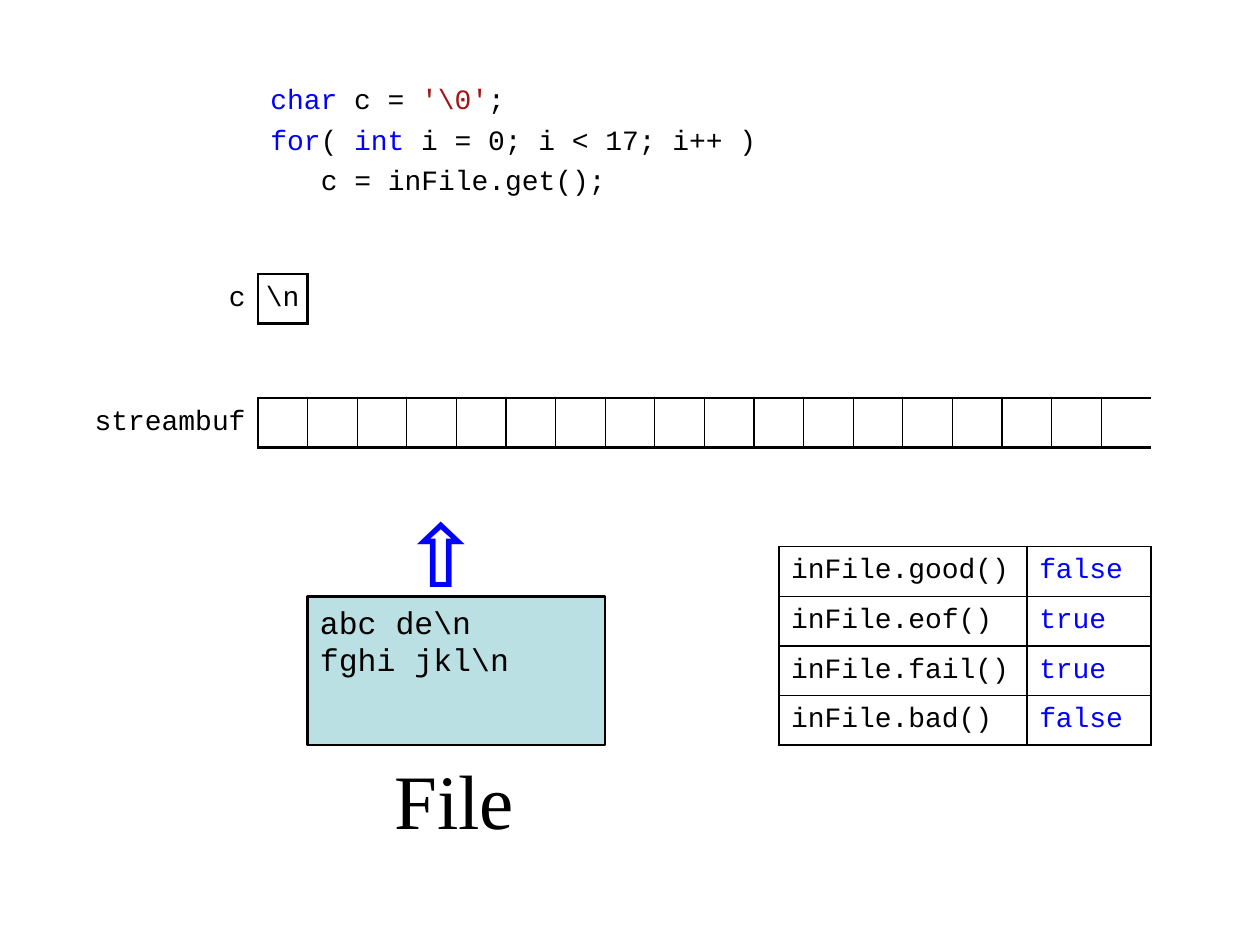
from dataclasses import dataclass

from lxml import etree
from pptx import Presentation
from pptx.dml.color import RGBColor
from pptx.enum.shapes import MSO_SHAPE
from pptx.enum.text import MSO_ANCHOR, PP_ALIGN
from pptx.oxml.ns import qn
from pptx.util import Cm, Pt

RECTANGLE = MSO_SHAPE.RECTANGLE
TOP, MIDDLE = MSO_ANCHOR.TOP, MSO_ANCHOR.MIDDLE
LEFT, CENTER, RIGHT = PP_ALIGN.LEFT, PP_ALIGN.CENTER, PP_ALIGN.RIGHT
PLAIN_TABLE_STYLE = "{2D5ABB26-0587-4C30-8999-92F81FD0307C}"
MARGINS = ("margin_left", "margin_top", "margin_right", "margin_bottom")
FRAME_INSETS = (0.25, 0.13, 0.25, 0.13)
NO_INSETS = (0, 0, 0, 0)


@dataclass(frozen=True)
class Theme:
    code_font: str = "Courier New"
    caption_font: str = "Times New Roman"
    ink: str = "000000"
    keyword: str = "0000FF"
    literal: str = "A31515"
    file_fill: str = "BBE0E3"
    code_size: int = 16
    file_size: int = 18
    caption_size: int = 44
    arrow_size: int = 66
    thin: float = 0.75
    medium: float = 1
    thick: float = 1.5


def assign(target, values):
    for name, value in values.items():
        setattr(target, name, value)


class SlideBuilder:
    def __init__(self, slide, theme):
        self.slide = slide
        self.theme = theme

    def add_lines(self, frame, lines, size=None, font=None, bold=False,
                  align=LEFT, space_before=0, indents=()):
        """Each line is a list of (text, colour); indents maps line number to cm."""
        for number, line in enumerate(lines):
            paragraph = frame.paragraphs[0] if number == 0 else frame.add_paragraph()
            assign(paragraph, {"alignment": align, "space_before": Pt(space_before)})
            if number in indents:
                paragraph._p.get_or_add_pPr().set("marL", str(Cm(indents[number])))
            for text, colour in line:
                run = paragraph.add_run()
                run.text = text
                assign(run.font, {"name": font or self.theme.code_font,
                                  "size": Pt(size or self.theme.code_size),
                                  "bold": bold})
                run.font.color.rgb = RGBColor.from_string(colour)

    def format_frame(self, frame, insets, wrap):
        assign(frame, {"word_wrap": wrap, "vertical_anchor": TOP})
        assign(frame, dict(zip(MARGINS, map(Cm, insets))))

    def text(self, box, lines, insets=FRAME_INSETS, wrap=True, **style):
        frame = self.slide.shapes.add_textbox(*map(Cm, box)).text_frame
        self.format_frame(frame, insets, wrap)
        self.add_lines(frame, lines, **style)

    def panel(self, box, lines, **style):
        shape = self.slide.shapes.add_shape(RECTANGLE, *map(Cm, box))
        shape.shadow.inherit = False
        shape.fill.solid()
        shape.fill.fore_color.rgb = RGBColor.from_string(self.theme.file_fill)
        shape.line.color.rgb = RGBColor.from_string(self.theme.ink)
        shape.line.width = Pt(self.theme.thick)
        self.format_frame(shape.text_frame, FRAME_INSETS, True)
        self.add_lines(shape.text_frame, lines, **style)

    def table(self, left, top, widths, row_count):
        """Add an unstyled grid with rows 1 cm high."""
        frame = self.slide.shapes.add_table(
            row_count, len(widths), Cm(left), Cm(top), Cm(sum(widths)), Cm(row_count))
        table = frame.table
        assign(table, {"first_row": False, "horz_banding": False})
        table._tbl.tblPr.find(qn("a:tableStyleId")).text = PLAIN_TABLE_STYLE
        for column, width in zip(table.columns, widths):
            column.width = Cm(width)
        for row in table.rows:
            row.height = Cm(1)
        return table

    def cell(self, cell, text="", colour=None, insets=NO_INSETS, align=LEFT, borders=()):
        """Fill in a cell; borders maps sides L, R, T, B to line widths."""
        assign(cell, dict(zip(MARGINS, map(Cm, insets))))
        cell.vertical_anchor = MIDDLE
        cell.fill.background()
        if text:
            self.add_lines(cell.text_frame, [[(text, colour or self.theme.ink)]], align=align)
        properties = cell._tc.get_or_add_tcPr()
        drawn_sides = [side for side in "LRTB" if side in borders]
        for position, side in enumerate(drawn_sides):
            line = etree.Element(qn(f"a:ln{side}"), w=str(Pt(borders[side])))
            fill = etree.SubElement(line, qn("a:solidFill"))
            etree.SubElement(fill, qn("a:srgbClr"), val=self.theme.ink)
            properties.insert(position, line)

    def labelled_cells(self, left, top, label, label_width, count, content="", open_end=False):
        """Draw a variable name followed by its row of 1 cm memory cells."""
        thick, thin = self.theme.thick, self.theme.thin
        cells = self.table(left, top, [label_width] + [1] * count, 1).rows[0].cells
        for index, cell in enumerate(cells):
            if index == 0:
                self.cell(cell, label, insets=(0, 0, 0.25, 0), align=RIGHT,
                          borders={"R": thick})
                continue
            borders = {"L": thick if index == 1 else thin, "T": thick, "B": thick}
            if index < count:
                borders["R"] = thin
            elif not open_end:
                borders["R"] = thick
            self.cell(cell, content, align=CENTER, borders=borders)

    def status_table(self, left, top, states):
        table = self.table(left, top, [5, 2.5], len(states))
        borders = dict.fromkeys("LRTB", self.theme.medium)
        for row, (call, result) in zip(table.rows, states):
            for cell, text, colour in zip(row.cells, (call, result),
                                          (self.theme.ink, self.theme.keyword)):
                self.cell(cell, text, colour, insets=(0.25, 0.1, 0.25, 0.1), borders=borders)


def main():
    theme = Theme()
    ink, keyword, literal = theme.ink, theme.keyword, theme.literal
    presentation = Presentation()
    assign(presentation, {"slide_width": Cm(25.4), "slide_height": Cm(19.05)})
    blank_layout = presentation.slide_layouts[6]
    builder = SlideBuilder(presentation.slides.add_slide(blank_layout), theme)

    builder.text((7.7, 15.04, 3, 2.5), [[("File", ink)]], wrap=False,
                 size=theme.caption_size, font=theme.caption_font)
    code = [
        [("char", keyword), (" c = ", ink), ("'\\0'", literal), (";", ink)],
        [("for", keyword), ("( ", ink), ("int", keyword), (" i = 0; i < 17; i++ )", ink)],
        [("c = inFile.get();", ink)],
    ]
    builder.text((5.2, 1.52, 10.5, 2.5), code, insets=(0.25, 0.13, 0.1, 0.13),
                 space_before=3.8, indents={2: 1.02})
    builder.labelled_cells(4.2, 5.52, "c", 1, 1, content="\\n")
    builder.labelled_cells(1.7, 8.02, "streambuf", 3.5, 18, open_end=True)
    builder.panel((6.2, 12.02, 6, 3), [[("abc de\\n", ink)], [("fghi jkl\\n", ink)]],
                  size=theme.file_size)
    builder.text((8.2, 9.52, 2, 2.5), [[("⇧", keyword)]], insets=NO_INSETS,
                 size=theme.arrow_size, bold=True)
    builder.status_table(15.7, 11.02, [
        ("inFile.good()", "false"),
        ("inFile.eof()", "true"),
        ("inFile.fail()", "true"),
        ("inFile.bad()", "false"),
    ])
    presentation.save("out.pptx")


if __name__ == "__main__":
    main()
